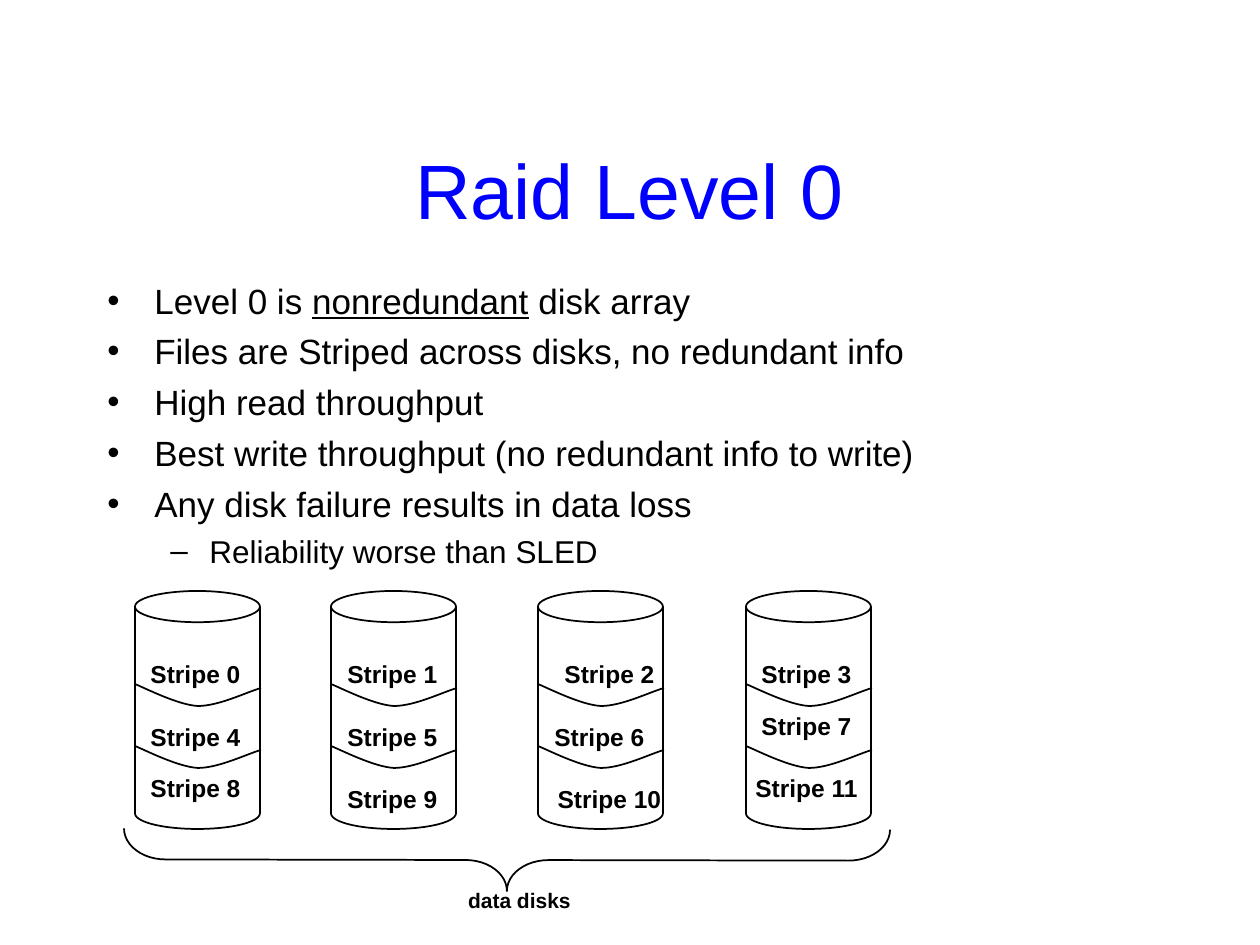
from typing import NamedTuple

from lxml import etree
from pptx import Presentation
from pptx.dml.color import RGBColor
from pptx.enum.shapes import MSO_SHAPE
from pptx.enum.text import MSO_ANCHOR, MSO_AUTO_SIZE, PP_ALIGN
from pptx.oxml.ns import qn
from pptx.util import Emu, Inches, Pt

PX = Inches(1) / 126
BLACK = RGBColor(0x00, 0x00, 0x00)
BLUE = RGBColor(0x00, 0x00, 0xFF)
FONT = "Arial"
CAN = MSO_SHAPE.CAN
LEFT_BRACE = MSO_SHAPE.LEFT_BRACE
CENTER = PP_ALIGN.CENTER
BOTTOM = MSO_ANCHOR.BOTTOM
NO_AUTOFIT = MSO_AUTO_SIZE.NONE
FIT_SHAPE = MSO_AUTO_SIZE.SHAPE_TO_FIT_TEXT


class Label(NamedTuple):
    text: str
    center: int
    top: int


class Bullet(NamedTuple):
    runs: tuple[str, ...]  # every second run is underlined
    level: int = 0


class BulletStyle(NamedTuple):
    char: str
    margin: int
    hanging: int
    size: int
    before: float


BULLET_STYLES = (
    BulletStyle("•", 47, 47, 20, 5),
    BulletStyle("–", 102, 39, 18, 4.5),
)
BULLETS = (
    Bullet(("Level 0 is ", "nonredundant", " disk array")),
    Bullet(("Files are Striped across disks, no redundant info",)),
    Bullet(("High read throughput",)),
    Bullet(("Best write throughput (no redundant info to write)",)),
    Bullet(("Any disk failure results in data loss",)),
    Bullet(("Reliability worse than SLED",), 1),
)

DISK_LEFTS = (135, 331, 538, 746)
DISK_TOP, DISK_W, DISK_H = 591, 125, 238
STRIPE_EDGE_TOPS = (684, 746)
# Two Bezier segments, relative to the left end: two controls and an end each
STRIPE_EDGE = ((10, 4), (43, 21), (63, 22), (84, 22), (112, 8), (126, 4))

STRIPE_LABELS = (
    Label("Stripe 0", 195, 653),
    Label("Stripe 4", 195, 716),
    Label("Stripe 8", 195, 767),
    Label("Stripe 1", 392, 653),
    Label("Stripe 5", 392, 716),
    Label("Stripe 9", 392, 778),
    Label("Stripe 2", 609, 653),
    Label("Stripe 6", 599, 716),
    Label("Stripe 10", 609, 778),
    Label("Stripe 3", 806, 653),
    Label("Stripe 7", 806, 705),
    Label("Stripe 11", 806, 767),
)


def px(n: float) -> Emu:
    return Emu(round(n * PX))


def style_font(font, size: float, color: RGBColor, bold: bool = False) -> None:
    font.name = FONT
    font.size = Pt(size)
    font.color.rgb = color
    font.bold = bold


def outline(sp) -> None:
    """Leave only a thin black line, without fill or shadow."""
    sp.shadow.inherit = False
    sp.fill.background()
    sp.line.color.rgb = BLACK
    sp.line.width = Pt(1)


def add_text_frame(s, left: int, top: int, width: int, height: int):
    tf = s.shapes.add_textbox(px(left), px(top), px(width), px(height)).text_frame
    tf.word_wrap = True
    tf.auto_size = NO_AUTOFIT
    return tf


def add_title(s, text: str) -> None:
    tf = add_text_frame(s, 94, 84, 1071, 157)
    tf.vertical_anchor = BOTTOM
    tf.text = text
    p = tf.paragraphs[0]
    p.alignment = CENTER
    style_font(p.runs[0].font, 44, BLUE)


def add_bullets(s, bullets: tuple[Bullet, ...]) -> None:
    tf = add_text_frame(s, 95, 273, 1071, 567)
    for i, bullet in enumerate(bullets):
        style = BULLET_STYLES[bullet.level]
        p = tf.add_paragraph() if i else tf.paragraphs[0]
        p.level = bullet.level
        p.space_before = Pt(style.before if i else 0)
        pPr = p._p.get_or_add_pPr()
        pPr.set("marL", str(px(style.margin)))
        pPr.set("indent", str(px(-style.hanging)))
        etree.SubElement(pPr, qn("a:buFont")).set("typeface", FONT)
        etree.SubElement(pPr, qn("a:buChar")).set("char", style.char)
        for j, text in enumerate(bullet.runs):
            r = p.add_run()
            r.text = text
            style_font(r.font, style.size, BLACK)
            r.font.underline = j % 2 == 1


def add_label(s, label: Label, size: int = 14, height: int = 41) -> None:
    width = 115 if len(label.text) < 9 else 129
    tf = add_text_frame(s, label.center - width // 2, label.top, width, height)
    tf.word_wrap = False
    tf.auto_size = FIT_SHAPE
    tf.text = label.text
    p = tf.paragraphs[0]
    p.alignment = CENTER
    style_font(p.runs[0].font, size, BLACK, bold=True)


def bend_lines(sp) -> None:
    """Turn each three line points of a freeform into one Bezier segment."""
    lines = list(sp._element.iter(qn("a:lnTo")))
    outline_path = lines[0].getparent()
    for i in range(0, len(lines), 3):
        curve = etree.SubElement(outline_path, qn("a:cubicBezTo"))
        for line in lines[i:i + 3]:
            curve.append(line[0])
            outline_path.remove(line)


def add_stripe_edge(s, left: int, top: int) -> None:
    builder = s.shapes.build_freeform(px(left), px(top))
    points = [(px(left + x), px(top + y)) for x, y in STRIPE_EDGE]
    builder.add_line_segments(points, close=False)
    sp = builder.convert_to_shape()
    bend_lines(sp)
    outline(sp)


def add_disk(s, left: int) -> None:
    sp = s.shapes.add_shape(CAN, px(left), px(DISK_TOP), px(DISK_W), px(DISK_H))
    sp.adjustments[0] = 0.25
    outline(sp)
    for top in STRIPE_EDGE_TOPS:
        add_stripe_edge(s, left, top)


def add_brace(s) -> None:
    """Add the brace below the disks, its tip pointing down."""
    sp = s.shapes.add_shape(LEFT_BRACE, px(476), px(477), px(62), px(766))
    sp.rotation = 270.1
    sp.adjustments[0] = 0.67
    outline(sp)


def main() -> None:
    prs = Presentation()
    prs.slide_width, prs.slide_height = Inches(10), Inches(7.5)
    s = prs.slides.add_slide(prs.slide_layouts[6])
    add_title(s, "Raid Level 0")
    add_bullets(s, BULLETS)
    for left in DISK_LEFTS:
        add_disk(s, left)
    for label in STRIPE_LABELS:
        add_label(s, label)
    add_label(s, Label("data disks", 519, 881), size=12, height=38)
    add_brace(s)
    prs.save("out.pptx")


if __name__ == "__main__":
    main()
